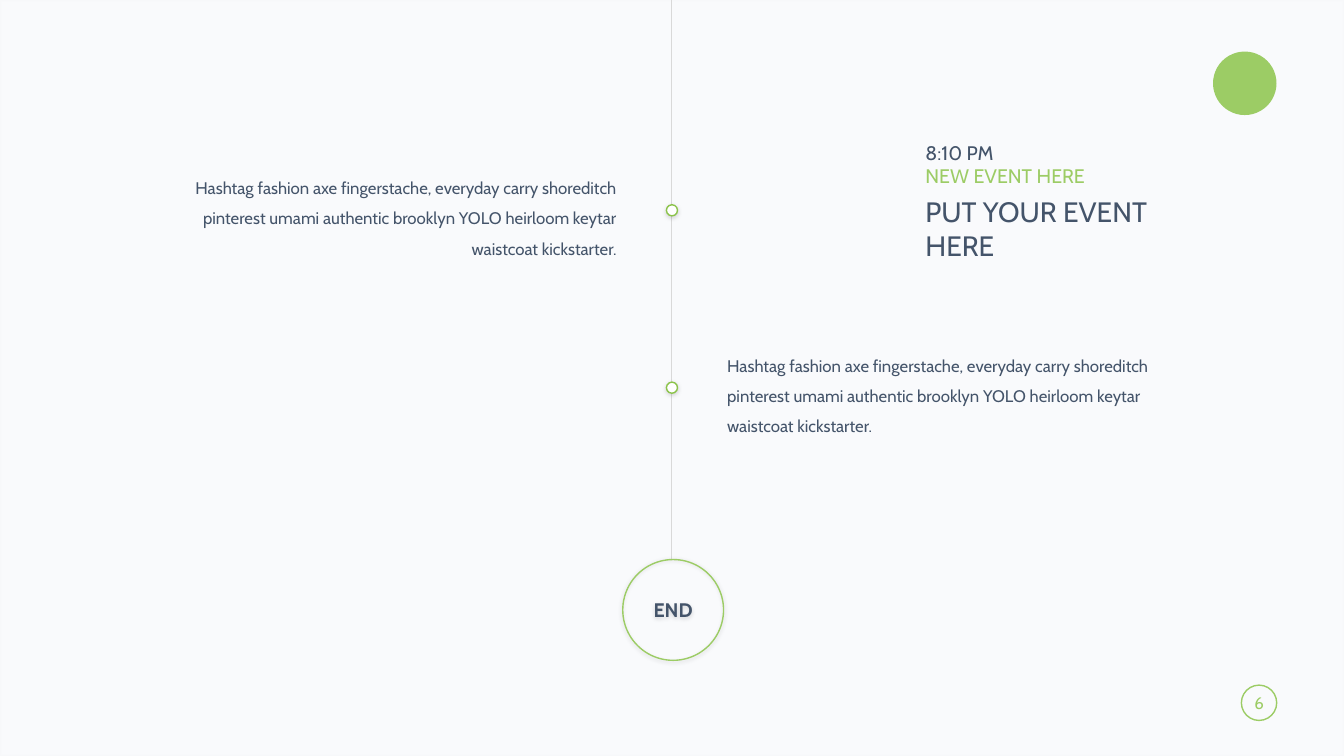
from lxml import etree
from pptx import Presentation
from pptx.dml.color import RGBColor
from pptx.enum.shapes import MSO_CONNECTOR, MSO_SHAPE
from pptx.enum.text import MSO_ANCHOR, MSO_AUTO_SIZE, PP_ALIGN
from pptx.oxml.ns import qn
from pptx.util import Cm, Pt

LEFT, CENTER, RIGHT = PP_ALIGN.LEFT, PP_ALIGN.CENTER, PP_ALIGN.RIGHT
TOP, MIDDLE = MSO_ANCHOR.TOP, MSO_ANCHOR.MIDDLE
OVAL, RECTANGLE, ROUNDED = (MSO_SHAPE.OVAL, MSO_SHAPE.RECTANGLE,
                            MSO_SHAPE.ROUNDED_RECTANGLE)
STRAIGHT = MSO_CONNECTOR.STRAIGHT
NO_AUTOFIT = MSO_AUTO_SIZE.NONE

FONT = "Cabin"
SLATE, GREEN, DOT_GREEN = "44546A", "9CCC65", "8BC34A"
TINT, EDGE, WHITE, GREY = "7B8DB3", "EBEBEB", "FFFFFF", "D9D9D9"

# Layout in centimetres
SLIDE_W, SLIDE_H = 33.87, 19.05
AXIS_X = SLIDE_W / 2
EVENT_YS = (5.3, 9.77)
END_TOP, END_SIZE = 14.1, 2.54
DOT_SIZE = 0.28
DESCRIPTION_W, DESCRIPTION_H, DESCRIPTION_GAP = 11.73, 2.57, 1.14

DESCRIPTION = (
    "Hashtag fashion axe fingerstache, everyday carry shoreditch "
    "pinterest umami authentic brooklyn YOLO heirloom keytar "
    "waistcoat kickstarter."
)
# Text, size, colour, space before
HEADING = (
    ("8:10 PM", 14, SLATE, 0),
    ("NEW EVENT HERE", 14, GREEN, 0),
    ("PUT YOUR EVENT", 20, SLATE, 4.9),
    ("HERE", 20, SLATE, 0),
)


def color(hex_value):
    return RGBColor.from_string(hex_value)


def apply(target, values):
    for name, value in values.items():
        setattr(target, name, value)


def write(shape, lines, align, anchor, spacing=1.0, bold=False, inset=None):
    frame = shape.text_frame
    apply(frame, {"word_wrap": True, "auto_size": NO_AUTOFIT,
                  "vertical_anchor": anchor})
    sides = {"margin_left": 0.25, "margin_right": 0.25,
             "margin_top": 0.13, "margin_bottom": 0.13}
    apply(frame, {side: Cm(size if inset is None else inset)
                  for side, size in sides.items()})
    for index, (text, size, hex_value, before) in enumerate(lines):
        paragraph = frame.add_paragraph() if index else frame.paragraphs[0]
        apply(paragraph, {"alignment": align, "line_spacing": spacing,
                          "space_before": Pt(before), "space_after": Pt(0)})
        run = paragraph.add_run()
        run.text = text
        apply(run.font, {"name": FONT, "size": Pt(size), "bold": bold})
        run.font.color.rgb = color(hex_value)


def place(placeholder, box):
    apply(placeholder, dict(zip(("left", "top", "width", "height"), map(Cm, box))))


def add_shadow(shape):
    effects = shape._element.spPr.find(qn("a:effectLst"))
    shadow = etree.SubElement(effects, qn("a:outerShdw"), blurRad=str(Pt(3)),
                              dist=str(Pt(1)), dir="5400000", algn="t",
                              rotWithShape="0")
    black = etree.SubElement(shadow, qn("a:srgbClr"), val="000000")
    etree.SubElement(black, qn("a:alpha"), val="15000")


def add_shape(slide, kind, box, fill=None, line=None, line_width=1):
    shape = slide.shapes.add_shape(kind, *map(Cm, box))
    shape.shadow.inherit = False
    if fill:
        shape.fill.solid()
        shape.fill.fore_color.rgb = color(fill)
    else:
        shape.fill.background()
    if line:
        shape.line.color.rgb = color(line)
        shape.line.width = Pt(line_width)
    else:
        shape.line.fill.background()
    return shape


def add_circle(slide, center_x, center_y, size, fill=None, line=None,
               shadow=False, kind=OVAL):
    box = (center_x - size / 2, center_y - size / 2, size, size)
    circle = add_shape(slide, kind, box, fill, line)
    if shadow:
        add_shadow(circle)
    return circle


def add_backdrop(slide, box):
    backdrop = add_shape(slide, RECTANGLE, box, TINT, EDGE, 2)
    # Opacity of the fill, then of the edge
    tones = backdrop._element.spPr.iter(qn("a:srgbClr"))
    for tone, opacity in zip(tones, ("4000", "10000")):
        etree.SubElement(tone, qn("a:alpha"), val=opacity)
    # Send behind the placeholders
    slide.shapes._spTree.insert(2, backdrop._element)


def add_timeline(slide, axis_x, end_top):
    # Axis
    line_x = Cm(axis_x - 0.02)
    axis = slide.shapes.add_connector(STRAIGHT, line_x, 0, line_x, Cm(end_top))
    axis.line.color.rgb = color(GREY)
    axis.line.width = Pt(0.75)
    etree.SubElement(axis._element.spPr, qn("a:effectLst"))
    # End marker
    end = add_circle(slide, axis_x + 0.03, end_top + END_SIZE / 2, END_SIZE,
                     line=GREEN, shadow=True)
    write(end, [("END", 14, SLATE, 0)], CENTER, MIDDLE, bold=True, inset=0)
    # Event dots
    for event_y in EVENT_YS:
        add_circle(slide, axis_x, event_y, DOT_SIZE, WHITE, DOT_GREEN, True)


def add_heading(title, box):
    place(title, box)
    write(title, HEADING, LEFT, TOP)


def add_description(body, box, align):
    place(body, box)
    write(body, [(DESCRIPTION, 12, SLATE, 0)], align, TOP, spacing=1.5)
    properties = body.text_frame.paragraphs[0]._p.get_or_add_pPr()
    properties.set("marL", "0")
    properties.set("indent", "0")
    etree.SubElement(properties, qn("a:buNone"))


def add_corner_marks(slide, right):
    # Emblem
    add_circle(slide, right - 0.8, 2.1, 1.6, fill=GREEN)
    # Page number
    page = add_circle(slide, right - 0.44, 17.71, 0.89, line=GREEN, kind=ROUNDED)
    page.adjustments[0] = 0.5
    write(page, [("6", 12, GREEN, 0)], CENTER, MIDDLE, inset=0)


def build_timeline_slide(deck):
    slide = deck.slides.add_slide(deck.slide_layouts.get_by_name("Two Content"))
    title, left_body, right_body = slide.placeholders

    add_backdrop(slide, (0, 0, SLIDE_W, SLIDE_H))
    add_corner_marks(slide, 32.17)
    add_timeline(slide, AXIS_X, END_TOP)
    add_heading(title, (23.07, EVENT_YS[0] - 1.89, 9.07, 3.33))
    # Descriptions alternate on either side of the axis
    sides = (
        (left_body, AXIS_X - DESCRIPTION_GAP - DESCRIPTION_W, RIGHT),
        (right_body, AXIS_X + DESCRIPTION_GAP, LEFT),
    )
    for event_y, (body, left, align) in zip(EVENT_YS, sides):
        box = (left, event_y - 1.2, DESCRIPTION_W, DESCRIPTION_H)
        add_description(body, box, align)


def main():
    deck = Presentation()
    apply(deck, {"slide_width": Cm(SLIDE_W), "slide_height": Cm(SLIDE_H)})
    build_timeline_slide(deck)
    deck.save("out.pptx")


if __name__ == "__main__":
    main()
